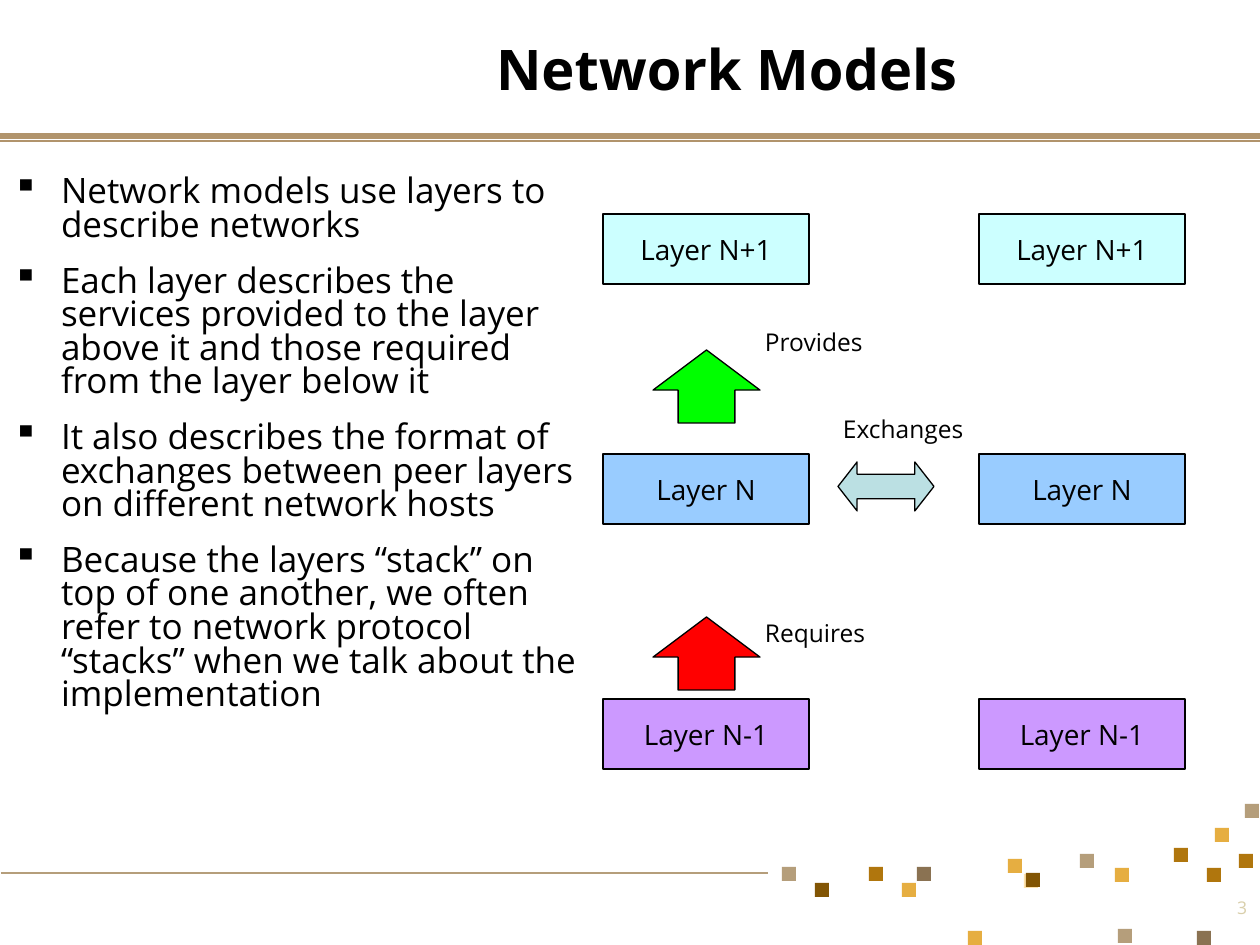
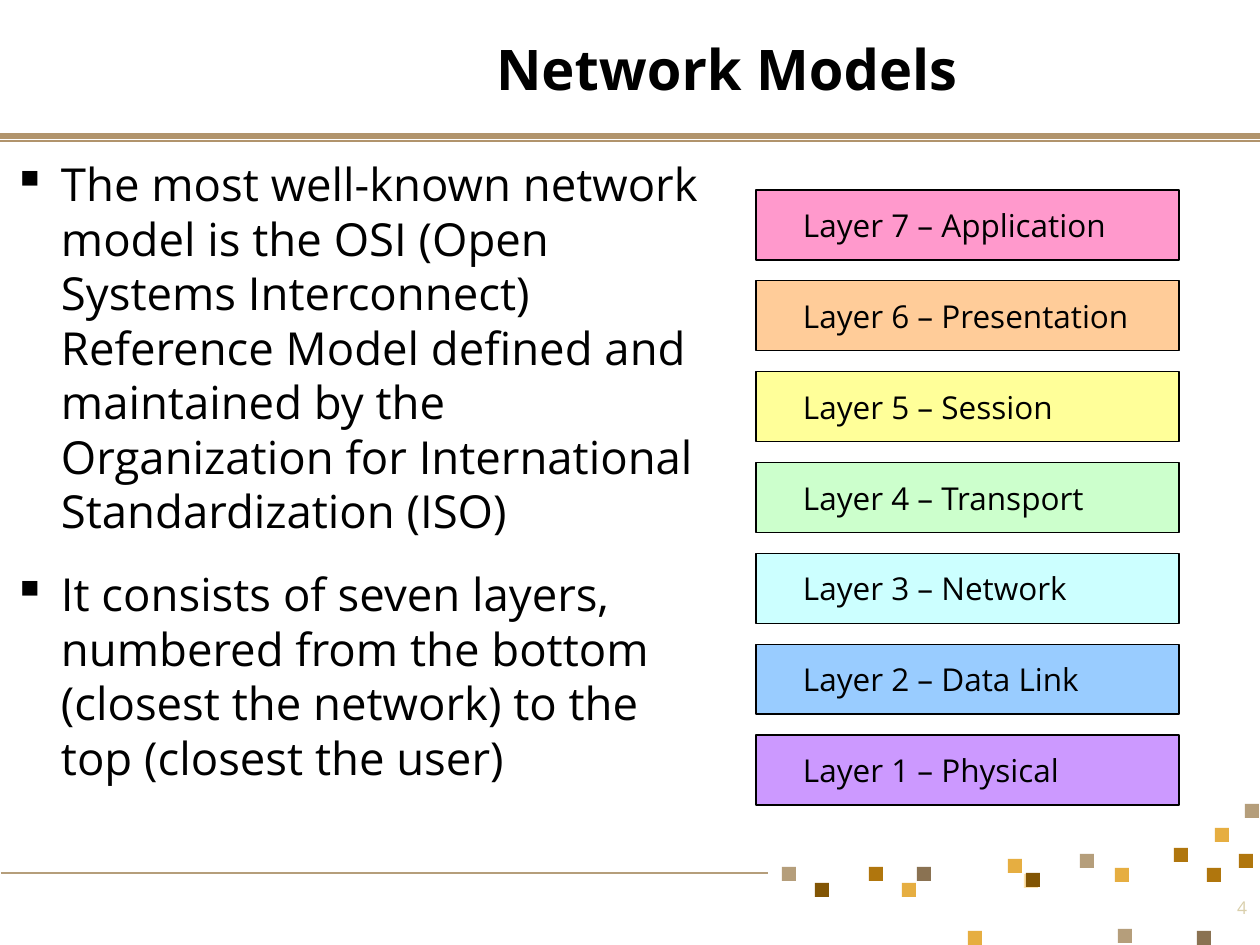
from lxml import etree
from pptx import Presentation
from pptx.dml.color import RGBColor
from pptx.enum.shapes import MSO_CONNECTOR, MSO_SHAPE
from pptx.enum.text import MSO_ANCHOR, PP_ALIGN
from pptx.oxml.ns import qn
from pptx.util import Pt

RECTANGLE = MSO_SHAPE.RECTANGLE
UP_ARROW = MSO_SHAPE.UP_ARROW
LEFT_RIGHT_ARROW = MSO_SHAPE.LEFT_RIGHT_ARROW
STRAIGHT = MSO_CONNECTOR.STRAIGHT
LEFT, CENTER, RIGHT = PP_ALIGN.LEFT, PP_ALIGN.CENTER, PP_ALIGN.RIGHT
TOP, MIDDLE = MSO_ANCHOR.TOP, MSO_ANCHOR.MIDDLE

BLACK = RGBColor(0x00, 0x00, 0x00)
BAND = RGBColor(0xB1, 0x94, 0x6C)
TAN = RGBColor(0xB5, 0x9E, 0x7B)
GOLD = RGBColor(0xE6, 0xAE, 0x41)
OCHRE = RGBColor(0xB0, 0x76, 0x0D)
BROWN = RGBColor(0x82, 0x55, 0x04)
TAUPE = RGBColor(0x8A, 0x72, 0x52)
CREAM = RGBColor(0xFF, 0xE3, 0xAB)
PAGE_NUMBER = RGBColor(0xD9, 0xCF, 0xAB)
PURPLE = RGBColor(0xCC, 0x99, 0xFF)
BLUE = RGBColor(0x99, 0xCC, 0xFF)
CYAN = RGBColor(0xCC, 0xFF, 0xFF)
MINT = RGBColor(0xCC, 0xFF, 0xCC)
YELLOW = RGBColor(0xFF, 0xFF, 0x99)
ORANGE = RGBColor(0xFF, 0xCC, 0x99)
PINK = RGBColor(0xFF, 0x99, 0xCC)
GREEN = RGBColor(0x00, 0xFF, 0x00)
RED = RGBColor(0xFF, 0x00, 0x00)
TEAL = RGBColor(0xBB, 0xE0, 0xE3)

FONT = "Open Sans"
EMU_PER_PX = 914400 / 126
SLIDE_WIDTH, SLIDE_HEIGHT = 1260, 945
INSET_X, INSET_Y = 13, 6
BULLET_INDENT = 48
BOX_HEIGHT = 70

TITLE = "Network Models"
TITLE_AREA = (483, 0, 777, 136)
PAGE_NUMBER_AREA = (1197, 891, 63, 53)
RULES = [
    (0, SLIDE_WIDTH, 136, BAND, 3),
    (0, SLIDE_WIDTH, 141, BAND, 1),
    (1, 768, 873, TAN, 1),
]
SQUARE_SIZE = 14
SQUARES = [
    (GOLD, [(1215, 828), (1115, 868), (968, 931), (902, 883), (1008, 859)]),
    (TAN, [(1118, 929), (1080, 854), (782, 867), (1245, 804)]),
    (OCHRE, [(1239, 854), (1207, 868), (1174, 848), (869, 867)]),
    (CREAM, [(1024, 874)]),
    (BROWN, [(815, 883), (1026, 873)]),
    (TAUPE, [(917, 867), (1197, 931)]),
]

LAYERING_POINTS = [
    "Network models use layers to describe networks",
    "Each layer describes the services provided to the layer above it and those "
    "required from the layer below it",
    "It also describes the format of exchanges between peer layers on different "
    "network hosts",
    "Because the layers “stack” on top of one another, we often refer to network "
    "protocol “stacks” when we talk about the implementation",
]
HOST_LEFTS = [603, 979]
HOST_BOX_WIDTH = 206
HOST_LAYERS = [
    ("Layer N+1", 214, CYAN),
    ("Layer N", 454, BLUE),
    ("Layer N-1", 699, PURPLE),
]
ARROWS = [
    (UP_ARROW, (653, 350, 107, 73), GREEN, (0.53, 0.55)),
    (UP_ARROW, (653, 617, 107, 73), RED, (0.53, 0.55)),
    (LEFT_RIGHT_ARROW, (838, 462, 96, 49), TEAL, (0.5, 0.39)),
]
ARROW_LABELS = [("Provides", 752, 321), ("Requires", 752, 612), ("Exchanges", 830, 408)]
ARROW_LABEL_SIZE = (166, 43)

OSI_POINTS = [
    "The most well-known network model is the OSI (Open Systems Interconnect) "
    "Reference Model defined and maintained by the Organization for International "
    "Standardization (ISO)",
    "It consists of seven layers, numbered from the bottom (closest the network) "
    "to the top (closest the user)",
]
OSI_LAYERS = [
    ("Application", PINK),
    ("Presentation", ORANGE),
    ("Session", YELLOW),
    ("Transport", MINT),
    ("Network", CYAN),
    ("Data Link", BLUE),
    ("Physical", PURPLE),
]
OSI_LEFT, OSI_WIDTH = 756, 423
OSI_FIRST_TOP, OSI_LAST_TOP = 190, 735
OSI_TEXT_INSET = 47


def px(length):
    return round(length * EMU_PER_PX)


def place(area):
    return [px(length) for length in area]


def add_bullet(paragraph):
    properties = paragraph._p.get_or_add_pPr()
    properties.set("marL", str(px(BULLET_INDENT)))
    properties.set("indent", str(-px(BULLET_INDENT)))
    color = etree.SubElement(properties, qn("a:buClr"))
    etree.SubElement(color, qn("a:srgbClr")).set("val", str(BLACK))
    etree.SubElement(properties, qn("a:buChar")).set("char", "▪")


def write_text(shape, *texts, size, color=BLACK, bold=False, align=LEFT, anchor=TOP,
               inset_left=INSET_X, bullets=False, line_spacing=None, space_before=0):
    frame = shape.text_frame
    frame.word_wrap = True
    frame.vertical_anchor = anchor
    frame.margin_left, frame.margin_right = px(inset_left), px(INSET_X)
    frame.margin_top = frame.margin_bottom = px(INSET_Y)
    for index, text in enumerate(texts):
        paragraph = frame.add_paragraph() if index else frame.paragraphs[0]
        if bullets:
            add_bullet(paragraph)
        paragraph.alignment = align
        if line_spacing:
            paragraph.line_spacing = line_spacing
        if index:
            paragraph.space_before = Pt(space_before)
        run = paragraph.add_run()
        run.text = text
        run.font.name = FONT
        run.font.size = Pt(size)
        run.font.bold = bold
        run.font.color.rgb = color


def add_text(slide, area, *texts, **text_format):
    write_text(slide.shapes.add_textbox(*place(area)), *texts, **text_format)


def add_block(slide, kind, area, fill, outlined=True):
    shape = slide.shapes.add_shape(kind, *place(area))
    shape.shadow.inherit = False
    shape.fill.solid()
    shape.fill.fore_color.rgb = fill
    if outlined:
        shape.line.color.rgb = BLACK
        shape.line.width = Pt(0.75)
    else:
        shape.line.fill.background()
    return shape


def add_rule(slide, start, end, y, color, width):
    rule = slide.shapes.add_connector(STRAIGHT, px(start), px(y), px(end), px(y))
    rule.line.color.rgb = color
    rule.line.width = Pt(width)
    etree.SubElement(rule._element.spPr, qn("a:effectLst"))


def add_base_slide(presentation, number):
    slide = presentation.slides.add_slide(presentation.slide_layouts[6])
    for rule in RULES:
        add_rule(slide, *rule)
    for color, corners in SQUARES:
        for left, top in corners:
            add_block(slide, RECTANGLE, (left, top, SQUARE_SIZE, SQUARE_SIZE), color,
                      outlined=False)
    add_text(slide, TITLE_AREA, TITLE, size=32, bold=True, anchor=MIDDLE)
    add_text(slide, PAGE_NUMBER_AREA, str(number), size=10, color=PAGE_NUMBER, align=RIGHT)
    return slide


def build_layering_slide(presentation):
    slide = add_base_slide(presentation, 3)
    add_text(slide, (0, 171, 598, 702), *LAYERING_POINTS, size=20, bullets=True,
             line_spacing=0.8, space_before=12.5)
    for label, top, fill in HOST_LAYERS:
        for left in HOST_LEFTS:
            box = add_block(slide, RECTANGLE, (left, top, HOST_BOX_WIDTH, BOX_HEIGHT), fill)
            write_text(box, label, size=16, align=CENTER, anchor=MIDDLE)
    for kind, area, fill, adjustments in ARROWS:
        arrow = add_block(slide, kind, area, fill)
        for index, adjustment in enumerate(adjustments):
            arrow.adjustments[index] = adjustment
    for label, left, top in ARROW_LABELS:
        add_text(slide, (left, top, *ARROW_LABEL_SIZE), label, size=14)


def build_osi_slide(presentation):
    slide = add_base_slide(presentation, 4)
    add_text(slide, (0, 150, 730, 701), *OSI_POINTS, size=26, bullets=True,
             space_before=16.2)
    count = len(OSI_LAYERS)
    step = (OSI_LAST_TOP - OSI_FIRST_TOP) / (count - 1)
    for index, (name, fill) in enumerate(OSI_LAYERS):
        top = OSI_FIRST_TOP + index * step
        box = add_block(slide, RECTANGLE, (OSI_LEFT, top, OSI_WIDTH, BOX_HEIGHT), fill)
        write_text(box, f"Layer {count - index} – {name}", size=18, anchor=MIDDLE,
                   inset_left=OSI_TEXT_INSET)


def main():
    presentation = Presentation()
    presentation.slide_width = px(SLIDE_WIDTH)
    presentation.slide_height = px(SLIDE_HEIGHT)
    build_layering_slide(presentation)
    build_osi_slide(presentation)
    presentation.save("out.pptx")


if __name__ == "__main__":
    main()
